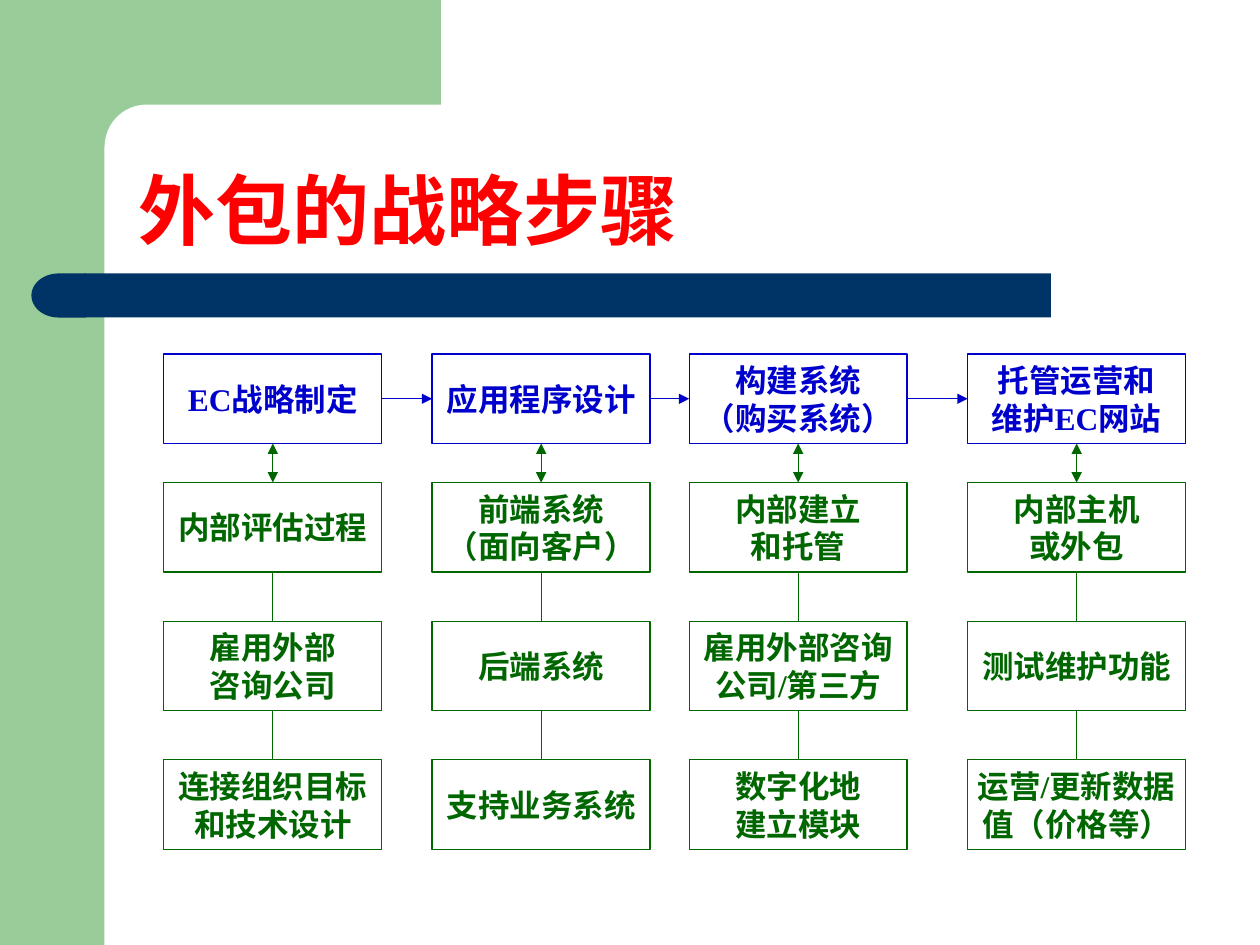
"""Build a slide showing the strategic steps of outsourcing as four linked columns."""
import dataclasses

import pptx
import pptx.dml.color
import pptx.enum.shapes
import pptx.enum.text
import pptx.oxml.ns
import pptx.util
from lxml import etree

Inches = pptx.util.Inches
Pt = pptx.util.Pt
Shape = pptx.enum.shapes.MSO_SHAPE
Align = pptx.enum.text.PP_ALIGN
Anchor = pptx.enum.text.MSO_ANCHOR
qn = pptx.oxml.ns.qn
color = pptx.dml.color.RGBColor.from_string


@dataclasses.dataclass(frozen=True)
class Theme:
    white: str = "FFFFFF"
    band: str = "99CC99"
    bar: str = "003366"
    title: str = "FF0000"
    stage: str = "0000CC"
    step: str = "006600"
    title_font: str = "Arial"
    box_font: str = "Times New Roman"
    title_size: int = 44
    box_size: int = 18
    line_width: float = 0.75


theme = Theme()


def add_block(kind, left, top, width, height, fill):
    block = slide.shapes.add_shape(
        kind, Inches(left), Inches(top), Inches(width), Inches(height))
    block.shadow.inherit = False
    block.fill.solid()
    block.fill.fore_color.rgb = color(fill)
    block.line.fill.background()
    return block


def add_link(start, end, line_color, arrows=()):
    link = slide.shapes.add_connector(
        pptx.enum.shapes.MSO_CONNECTOR.STRAIGHT,
        Inches(start[0]), Inches(start[1]), Inches(end[0]), Inches(end[1]))
    link.line.color.rgb = color(line_color)
    link.line.width = Pt(theme.line_width)
    properties = link.element.spPr
    for arrow in arrows:
        etree.SubElement(properties.find(qn("a:ln")), qn(arrow), type="triangle")
    etree.SubElement(properties, qn("a:effectLst"))


deck = pptx.Presentation()
deck.slide_width = Inches(10)
deck.slide_height = Inches(7.5)
slide = deck.slides.add_slide(deck.slide_layouts[5])

add_block(Shape.RECTANGLE, 0, 0, 0.83, 7.5, theme.band)
add_block(Shape.RECTANGLE, 0.75, 0, 2.75, 1.17, theme.band)
corner = add_block(Shape.ROUNDED_RECTANGLE, 0.83, 0.83, 5.58, 0.67, theme.white)
corner.adjustments[0] = 0.5
add_block(Shape.RECTANGLE, 0.67, 2.17, 7.67, 0.35, theme.bar)
bar_end = add_block(Shape.FLOWCHART_DELAY, 0.25, 2.17, 0.43, 0.35, theme.bar)
bar_end.element.spPr.find(qn("a:xfrm")).set("flipH", "1")

title = slide.shapes.title
title.element.getparent().append(title.element)
title.left, title.top = Inches(1), Inches(0.83)
title.width, title.height = Inches(8.75), Inches(1.25)
frame = title.text_frame
frame.auto_size = pptx.enum.text.MSO_AUTO_SIZE.NONE
frame.vertical_anchor = Anchor.BOTTOM
para = frame.paragraphs[0]
para.alignment = Align.LEFT
para.line_spacing = 0.9
span = para.add_run()
span.text = "外包的战略步骤"
span.font.name = theme.title_font
span.font.size = Pt(theme.title_size)
span.font.bold = True
span.font.color.rgb = color(theme.title)

box_width, box_height = 1.73, 0.71
column_lefts = [1.3, 3.43, 5.47, 7.68]
row_tops = [2.81, 3.83, 4.93, 6.03]
rows = [
    [["EC战略制定"], ["应用程序设计"], ["构建系统", "（购买系统）"], ["托管运营和", "维护EC网站"]],
    [["内部评估过程"], ["前端系统", "（面向客户）"], ["内部建立", "和托管"], ["内部主机", "或外包"]],
    [["雇用外部", "咨询公司"], ["后端系统"], ["雇用外部咨询", "公司/第三方"], ["测试维护功能"]],
    [["连接组织目标", "和技术设计"], ["支持业务系统"], ["数字化地", "建立模块"], ["运营/更新数据", "值（价格等）"]],
]

for row, (top, cells) in enumerate(zip(row_tops, rows)):
    ink = theme.step if row else theme.stage
    for left, lines in zip(column_lefts, cells):
        box = add_block(Shape.RECTANGLE, left, top, box_width, box_height, theme.white)
        box.line.color.rgb = color(ink)
        box.line.width = Pt(theme.line_width)
        frame = box.text_frame
        frame.word_wrap = False
        frame.vertical_anchor = Anchor.MIDDLE
        for index, line in enumerate(lines):
            para = frame.add_paragraph() if index else frame.paragraphs[0]
            para.alignment = Align.CENTER
            span = para.add_run()
            span.text = line
            span.font.name = theme.box_font
            span.font.size = Pt(theme.box_size)
            span.font.bold = True
            span.font.color.rgb = color(ink)

stage_middle = row_tops[0] + box_height / 2
for left, next_left in zip(column_lefts, column_lefts[1:]):
    add_link((left + box_width, stage_middle), (next_left, stage_middle),
             theme.stage, ["a:tailEnd"])

for left in column_lefts:
    center = left + box_width / 2
    for row, (top, next_top) in enumerate(zip(row_tops, row_tops[1:])):
        arrows = [] if row else ["a:headEnd", "a:tailEnd"]
        add_link((center, top + box_height), (center, next_top), theme.step, arrows)

deck.save("out.pptx")
